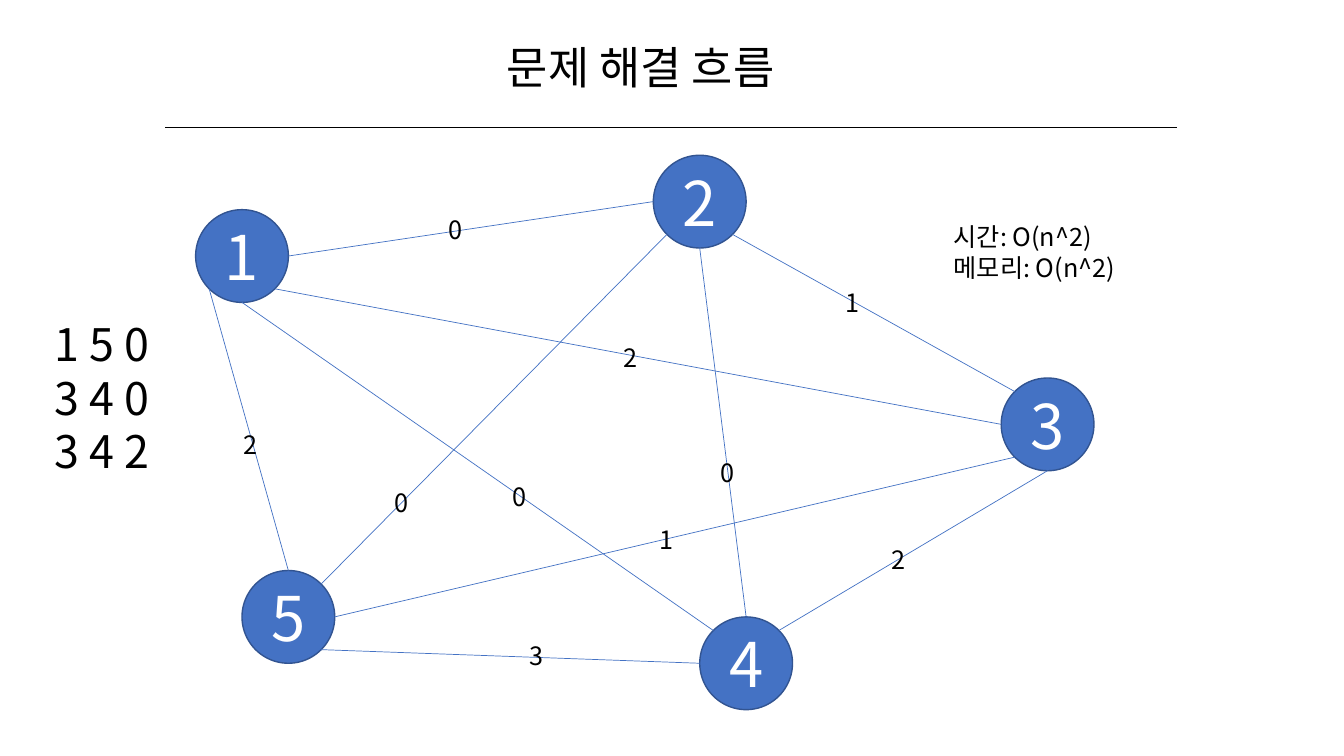
from dataclasses import dataclass
from math import cos, pi, sin

from lxml.etree import SubElement
from pptx import Presentation
from pptx.dml.color import RGBColor
from pptx.enum.shapes import MSO_CONNECTOR, MSO_SHAPE
from pptx.enum.text import MSO_ANCHOR, PP_ALIGN
from pptx.oxml.ns import qn
from pptx.util import Inches, Pt

FONT = "Noto Sans CJK KR"
BLUE, EDGE, BLACK, WHITE = "4472C4", "325491", "000000", "FFFFFF"
SIZE = 0.92
# Ellipse connection sites, counterclockwise in steps of 45 degrees
TOP, TOP_L, LEFT, BOT_L, BOT, BOT_R, RIGHT, TOP_R = range(8)


@dataclass
class Node:
    """A numbered circle placed by its top left corner."""
    x: float
    y: float

    def site(self, index: int) -> tuple[float, float]:
        """Return the point of a connection site on the circle."""
        half, angle = SIZE / 2, index * pi / 4
        return (self.x + half - half * sin(angle),
                self.y + half - half * cos(angle))


@dataclass
class Link:
    """A weighted line between two nodes, with its label's corner."""
    start: int
    exit: int
    end: int
    entry: int
    weight: str
    x: float
    y: float


NODES = {1: Node(1.94, 2.08), 2: Node(6.48, 1.54), 3: Node(9.93, 3.75),
         4: Node(6.94, 6.12), 5: Node(2.4, 5.66)}
LINKS = [
    Link(1, RIGHT, 2, LEFT, "0", 4.35, 2.08),
    Link(2, BOT_R, 3, TOP_L, "1", 8.29, 2.8),
    Link(3, BOT, 4, TOP_R, "2", 8.74, 5.35),
    Link(5, BOT_R, 4, LEFT, "3", 5.15, 6.3),
    Link(1, BOT_L, 5, TOP, "2", 2.32, 4.21),
    Link(1, BOT_R, 3, LEFT, "2", 6.09, 3.35),
    Link(3, BOT_L, 5, RIGHT, "1", 6.44, 5.15),
    Link(5, TOP_R, 2, BOT_L, "0", 3.81, 4.79),
    Link(4, TOP_L, 1, BOT, "0", 4.98, 4.73),
    Link(4, TOP, 2, BOT, "0", 7.05, 4.49),
]


def rgb(color: str) -> RGBColor:
    """Turn a hex string into a colour."""
    return RGBColor.from_string(color)


def write(shape, text: str, *, size: int = 18, color: str = BLACK,
          align=PP_ALIGN.LEFT, anchor=MSO_ANCHOR.TOP) -> None:
    """Fill a shape with formatted text, one paragraph a line."""
    frame = shape.text_frame
    frame.text = text
    frame.word_wrap = True
    frame.vertical_anchor = anchor
    for para in frame.paragraphs:
        para.alignment = align
        para.line_spacing = Pt(size * 1.2)
        para.space_before = Pt(0)
        for run in para.runs:
            run.font.size = Pt(size)
            run.font.name = FONT
            run.font.color.rgb = rgb(color)
            SubElement(run.font._element, qn("a:ea"), typeface=FONT)


def place(shape, x: float, y: float, wide: float, high: float) -> None:
    """Move and size a shape."""
    shape.left, shape.top = Inches(x), Inches(y)
    shape.width, shape.height = Inches(wide), Inches(high)


def add_text(slide, text: str, x: float, y: float, wide: float,
             high: float, **style) -> None:
    """Add a text box."""
    box = slide.shapes.add_textbox(
        Inches(x), Inches(y), Inches(wide), Inches(high))
    write(box, text, **style)


def add_line(slide, start: tuple[float, float], end: tuple[float, float],
             color: str) -> None:
    """Add a thin straight line without a shadow."""
    line = slide.shapes.add_connector(
        MSO_CONNECTOR.STRAIGHT, *map(Inches, start + end))
    line.line.color.rgb = rgb(color)
    line.line.width = Pt(0.5)
    SubElement(line._element.spPr, qn("a:effectLst"))


def add_node(slide, number: int, node: Node) -> None:
    """Add a numbered circle."""
    disc = slide.shapes.add_shape(
        MSO_SHAPE.OVAL, Inches(node.x), Inches(node.y),
        Inches(SIZE), Inches(SIZE))
    disc.shadow.inherit = False
    disc.fill.solid()
    disc.fill.fore_color.rgb = rgb(BLUE)
    disc.line.color.rgb = rgb(EDGE)
    disc.line.width = Pt(1)
    write(disc, str(number), size=44, color=WHITE,
          align=PP_ALIGN.CENTER, anchor=MSO_ANCHOR.MIDDLE)


def main() -> None:
    """Build and save the slide."""
    deck = Presentation()
    deck.slide_width, deck.slide_height = Inches(13.33), Inches(7.5)
    slide = deck.slides.add_slide(deck.slide_layouts[5])

    title = slide.shapes.title
    place(title, 3.58, 0.34, 5.55, 0.64)
    write(title, "문제 해결 흐름", size=32, align=PP_ALIGN.CENTER)
    add_line(slide, (1.64, 1.26), (11.67, 1.26), BLACK)

    for number, node in NODES.items():
        add_node(slide, number, node)
    for link in LINKS:
        add_line(slide, NODES[link.start].site(link.exit),
                 NODES[link.end].site(link.entry), BLUE)
    for link in LINKS:
        add_text(slide, link.weight, link.x, link.y, 0.38, 0.4)

    add_text(slide, "시간: O(n^2)\n메모리: O(n^2)", 9.36, 2.15, 2.32, 0.71)
    add_text(slide, "1 5 0\n3 4 0\n3 4 2", 0.19, 3.09, 1.64, 1.72,
             size=32, align=PP_ALIGN.CENTER)
    deck.save("out.pptx")


main()
